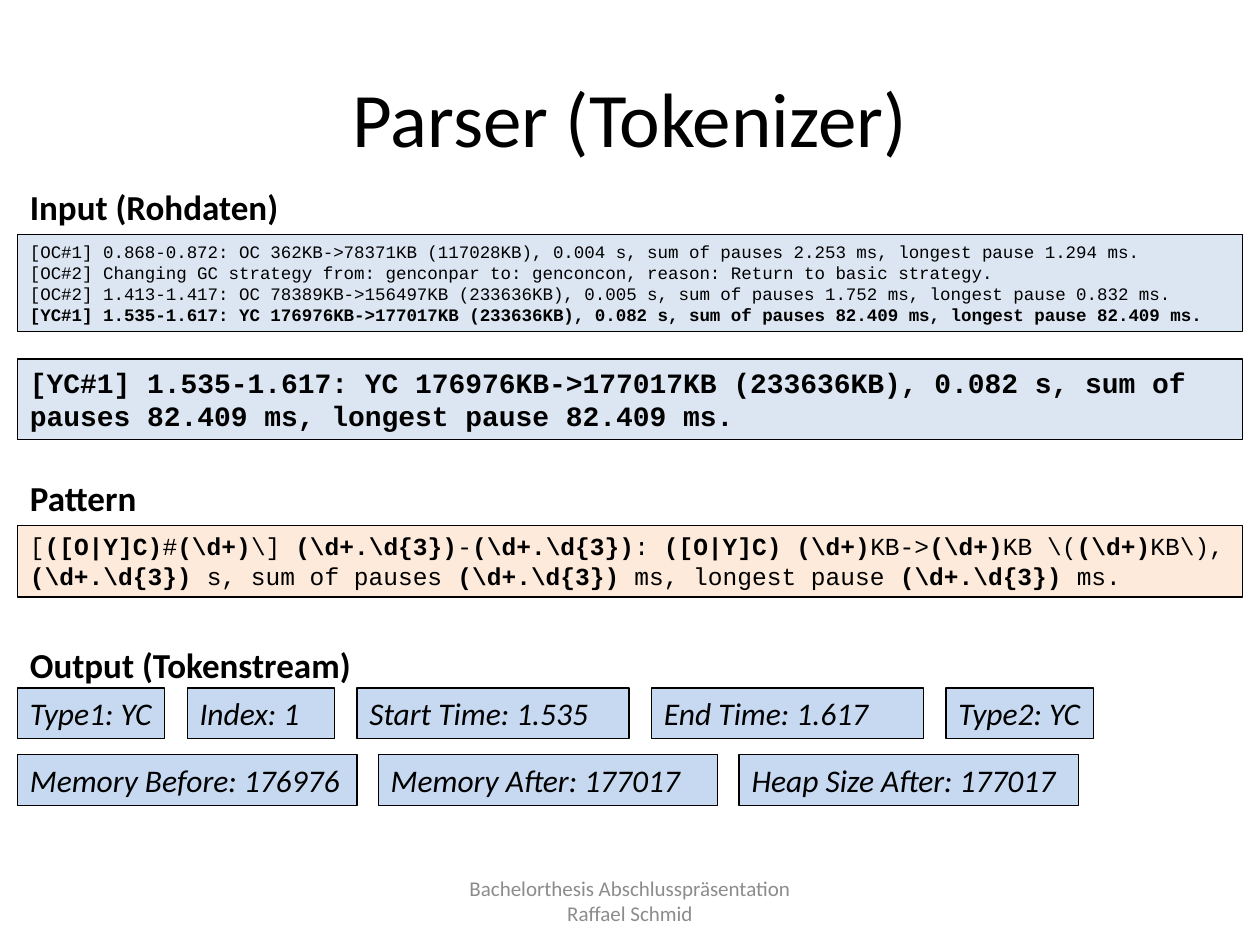
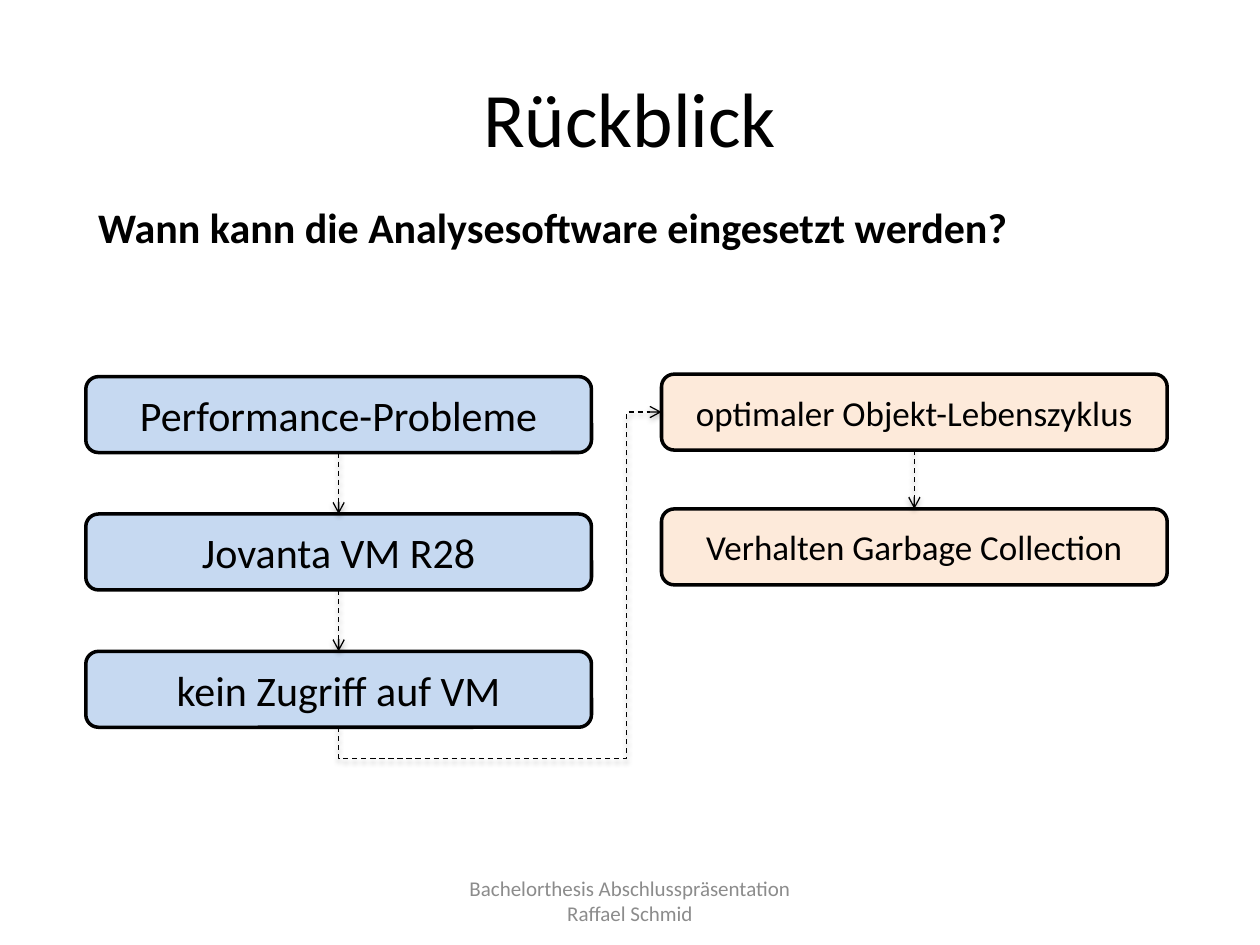
import pptx
import pptx.util
import pptx.dml.color
import pptx.enum.dml
import pptx.enum.shapes
import pptx.enum.text
import pptx.oxml
import pptx.oxml.ns

Pt = pptx.util.Pt
Align = pptx.enum.text.PP_ALIGN
Anchor = pptx.enum.text.MSO_ANCHOR
Shape = pptx.enum.shapes.MSO_SHAPE
Connector = pptx.enum.shapes.MSO_CONNECTOR

COLORS = {
    "text": "000000",
    "footer": "8C8C8C",
    "raw": "DCE6F2",
    "peach": "FDEADA",
    "blue": "C6D9F1",
}
SANS = "Calibri"
MONO = "Courier New"
BAND_HEIGHT = 31.7
YOUNG_COLLECTION = (
    "[YC#1] 1.535-1.617: YC 176976KB->177017KB (233636KB), 0.082 s, "
    "sum of pauses 82.409 ms, longest pause 82.409 ms."
)
RAW_LINES = [
    "[OC#1] 0.868-0.872: OC 362KB->78371KB (117028KB), 0.004 s, "
    "sum of pauses 2.253 ms, longest pause 1.294 ms.",
    "[OC#2] Changing GC strategy from: genconpar to: genconcon, "
    "reason: Return to basic strategy.",
    "[OC#2] 1.413-1.417: OC 78389KB->156497KB (233636KB), 0.005 s, "
    "sum of pauses 1.752 ms, longest pause 0.832 ms.",
    YOUNG_COLLECTION,
]
NUMBER = r"(\d+)"
DECIMAL = r"(\d+.\d{3})"
PATTERN_PLAIN_BOLD = [
    "[", "([O|Y]C)", "#", NUMBER, r"\] ", DECIMAL, "-", DECIMAL, ": ",
    "([O|Y]C) " + NUMBER, "KB->", NUMBER, r"KB \(", NUMBER, r"KB\), ",
    DECIMAL, " s, sum of pauses ", DECIMAL, " ms, longest pause ",
    DECIMAL + " ", "ms.",
]


def rgb(name):
    return pptx.dml.color.RGBColor.from_string(COLORS[name])


def style_text(shape, size, font=SANS, color="text", align=Align.LEFT,
               anchor=Anchor.TOP, grow=False, bold=None, italic=None):
    frame = shape.text_frame
    frame.word_wrap = True
    frame.vertical_anchor = anchor
    if grow:
        frame.auto_size = pptx.enum.text.MSO_AUTO_SIZE.SHAPE_TO_FIT_TEXT
    for para in frame.paragraphs:
        para.alignment = align
        for span in para.runs:
            span.font.size = Pt(size)
            span.font.name = font
            span.font.color.rgb = rgb(color)
            if bold is not None:
                span.font.bold = bold
            if italic is not None:
                span.font.italic = italic


def add_label(page, box, text, size, **look):
    label = page.shapes.add_textbox(*map(Pt, box))
    label.text_frame.text = text
    style_text(label, size, **look)
    return label


def add_panel(page, box, fill, text="", kind=Shape.RECTANGLE, line=0.75):
    panel = page.shapes.add_shape(kind, *map(Pt, box))
    panel.shadow.inherit = False
    panel.fill.solid()
    panel.fill.fore_color.rgb = rgb(fill)
    panel.line.color.rgb = rgb("text")
    panel.line.width = Pt(line)
    panel.text_frame.text = text
    return panel


def add_page(deck, title):
    page = deck.slides.add_slide(deck.slide_layouts[6])
    centred = {"align": Align.CENTER, "anchor": Anchor.MIDDLE}
    add_label(page, (36, 21.6, 648, 90), title, 44, **centred)
    add_label(page, (246, 500.4, 228, 28.8),
              "Bachelorthesis Abschlusspräsentation\vRaffael Schmid",
              12, color="footer", **centred)
    return page


def add_heading(page, left, top, text):
    add_label(page, (left, top, 236, BAND_HEIGHT), text, 20, bold=True, grow=True)


def add_input(page, box):
    left, top, width, height = box
    add_heading(page, left, top, "Input (Rohdaten)")
    raw = add_panel(page, (left, top + BAND_HEIGHT, width, 55.4), "raw", "\n".join(RAW_LINES))
    style_text(raw, 10, font=MONO, grow=True)
    raw.text_frame.paragraphs[-1].runs[0].font.bold = True
    chosen = add_panel(page, (left, top + height - 46, width, 46), "raw", YOUNG_COLLECTION)
    style_text(chosen, 16, font=MONO, grow=True, bold=True)


def add_pattern(page, box):
    left, top, width, height = box
    add_heading(page, left, top, "Pattern")
    panel = add_panel(page, (left, top + BAND_HEIGHT, width, height - BAND_HEIGHT), "peach")
    para = panel.text_frame.paragraphs[0]
    for index, part in enumerate(PATTERN_PLAIN_BOLD):
        span = para.add_run()
        span.text = part
        span.font.bold = index % 2 == 1
    style_text(panel, 14, font=MONO, grow=True)


def add_output(page, box):
    left, top, width, height = box
    add_heading(page, left, top, "Output (Tokenstream)")
    token_height = 29.1
    short, medium, long = 84.2, 155.5, 194
    rows = [
        (top + 28.8, 12.8, [
            ("Type1: YC", short), ("Index: 1", short),
            ("Start Time: 1.535", medium), ("End Time: 1.617", medium),
            ("Type2: YC", short)]),
        (top + height - token_height, 12.2, [
            ("Memory Before: 176976", long), ("Memory After: 177017", long),
            ("Heap Size After: 177017", long)]),
    ]
    for row_top, gap, tokens in rows:
        token_left = left
        for text, token_width in tokens:
            token = add_panel(page, (token_left, row_top, token_width, token_height), "blue", text)
            style_text(token, 18, grow=True, italic=True)
            token_left += token_width + gap


def add_arrow(page, kind, start, start_site, end, end_site):
    arrow = page.shapes.add_connector(kind, 0, 0, 0, 0)
    arrow.begin_connect(start, start_site)
    arrow.end_connect(end, end_site)
    arrow.line.color.rgb = rgb("text")
    arrow.line.width = Pt(0.75)
    arrow.line.dash_style = pptx.enum.dml.MSO_LINE.DASH
    namespace = pptx.oxml.ns.nsdecls("a")
    properties = arrow._element.spPr
    properties.find(pptx.oxml.ns.qn("a:ln")).append(
        pptx.oxml.parse_xml(f'<a:tailEnd {namespace} type="arrow"/>'))
    properties.append(pptx.oxml.parse_xml(
        f'<a:effectLst {namespace}><a:outerShdw blurRad="{Pt(3.1)}" dist="{Pt(1.6)}" '
        'dir="5400000" rotWithShape="0"><a:srgbClr val="000000"><a:alpha val="38000"/>'
        '</a:srgbClr></a:outerShdw></a:effectLst>'))
    return arrow


def add_chain(page, box, fill, texts, size, pitch):
    left, top, width, height = box
    steps = []
    for index, text in enumerate(texts):
        step = add_panel(page, (left, top + index * pitch, width, height), fill, text,
                         kind=Shape.ROUNDED_RECTANGLE, line=2)
        style_text(step, size, align=Align.CENTER, anchor=Anchor.MIDDLE)
        steps.append(step)
    for upper, lower in zip(steps, steps[1:]):
        add_arrow(page, Connector.STRAIGHT, upper, 2, lower, 0)
    return steps


def add_return_arrow(page, start, end):
    arrow = add_arrow(page, Connector.ELBOW, start, 2, end, 1)
    across, up = arrow.width, arrow.height
    shift = (across - up) // 2
    arrow.left, arrow.top = arrow.left + shift, arrow.top - shift
    arrow.width, arrow.height = up, across
    properties = arrow._element.spPr
    frame = properties.find(pptx.oxml.ns.qn("a:xfrm"))
    for name, value in (("rot", "5400000"), ("flipH", "1"), ("flipV", "1")):
        frame.set(name, value)
    geometry = properties.find(pptx.oxml.ns.qn("a:prstGeom"))
    geometry.set("prst", "bentConnector4")
    guides = geometry.find(pptx.oxml.ns.qn("a:avLst"))
    for name, value in (("adj1", -10000), ("adj2", 89200)):
        guides.append(pptx.oxml.parse_xml(
            f'<a:gd {pptx.oxml.ns.nsdecls("a")} name="{name}" fmla="val {value}"/>'))


def build_parser_page(deck):
    page = add_page(deck, "Parser (Tokenizer)")
    left, width = 10, 700
    add_input(page, (left, 102.2, width, 149))
    add_pattern(page, (left, 268.5, width, 72.7))
    add_output(page, (left, 364.3, width, 96))


def build_review_page(deck):
    page = add_page(deck, "Rückblick")
    add_label(page, (49, 111.6, 635, 36.3),
              "Wann kann die Analysesoftware eingesetzt werden?", 24, bold=True, grow=True)
    causes = add_chain(page, (49, 215.2, 289, 43.4), "blue",
                       ["Performance-Probleme", "Jovanta VM R28", "kein Zugriff auf VM"],
                       24, 78.5)
    goals = add_chain(page, (378, 213.8, 289, 43.4), "peach",
                      ["optimaler Objekt-Lebenszyklus", "Verhalten Garbage Collection"],
                      20, 77)
    add_return_arrow(page, causes[-1], goals[0])


deck = pptx.Presentation()
deck.slide_width, deck.slide_height = Pt(720), Pt(540)
build_parser_page(deck)
build_review_page(deck)
deck.save("out.pptx")
